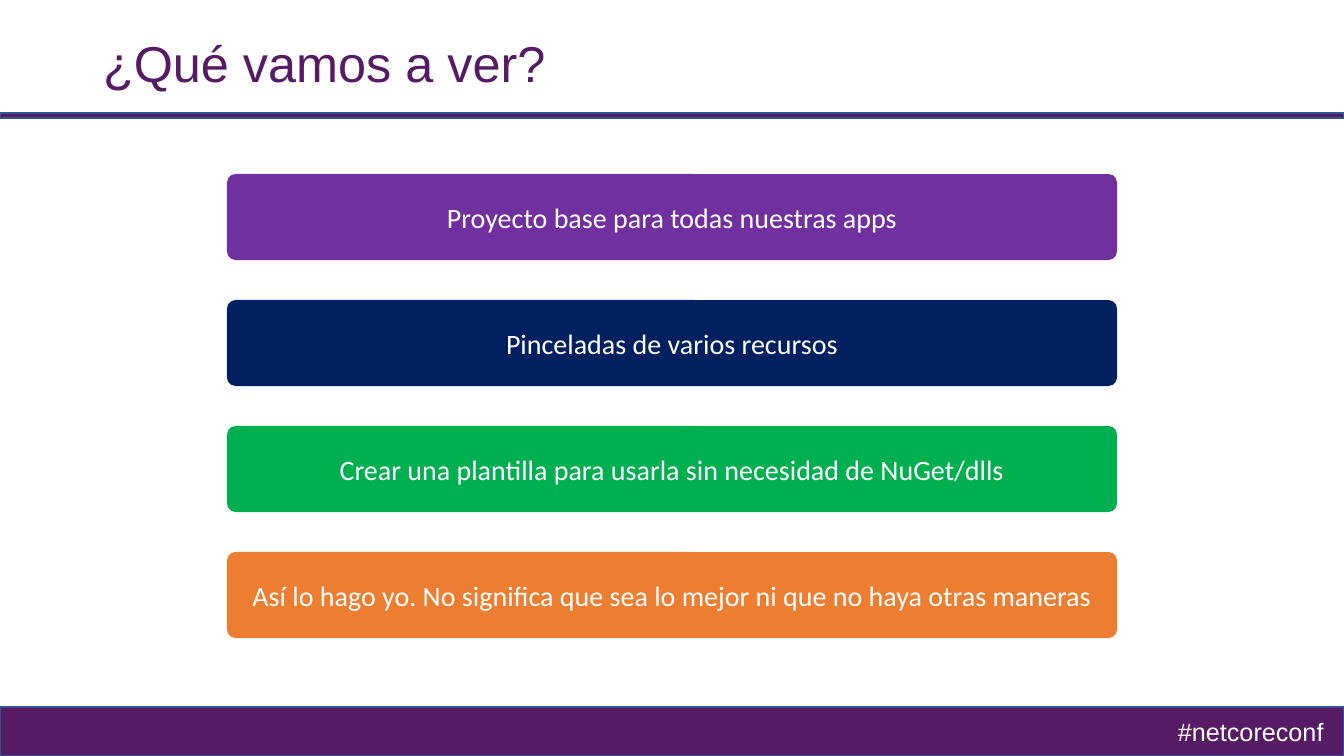
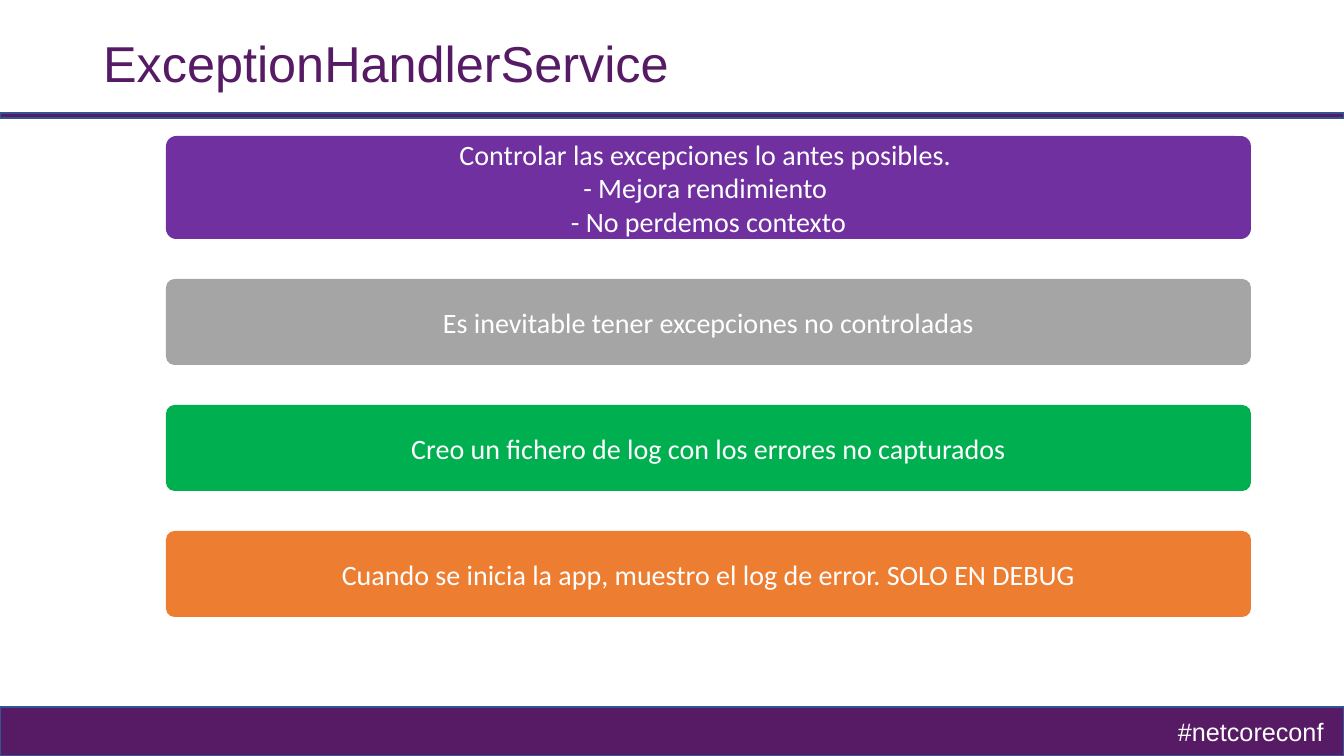
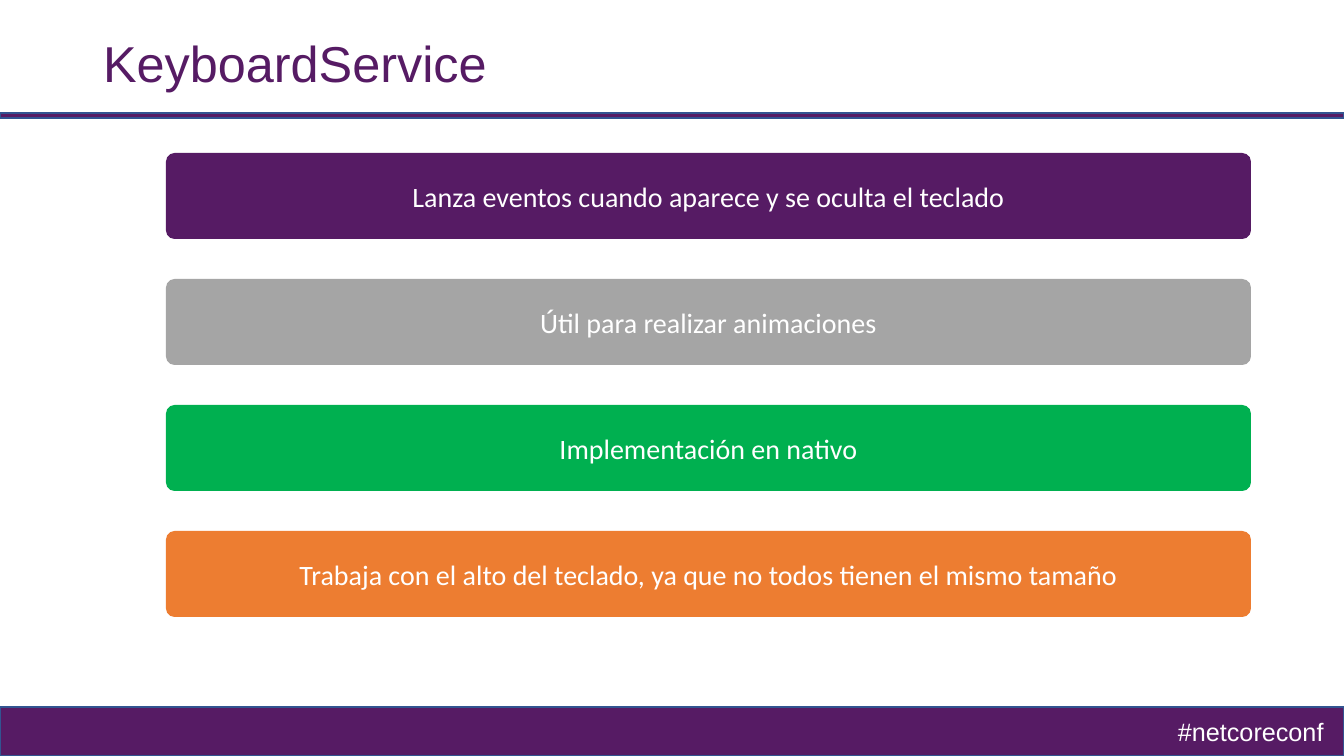
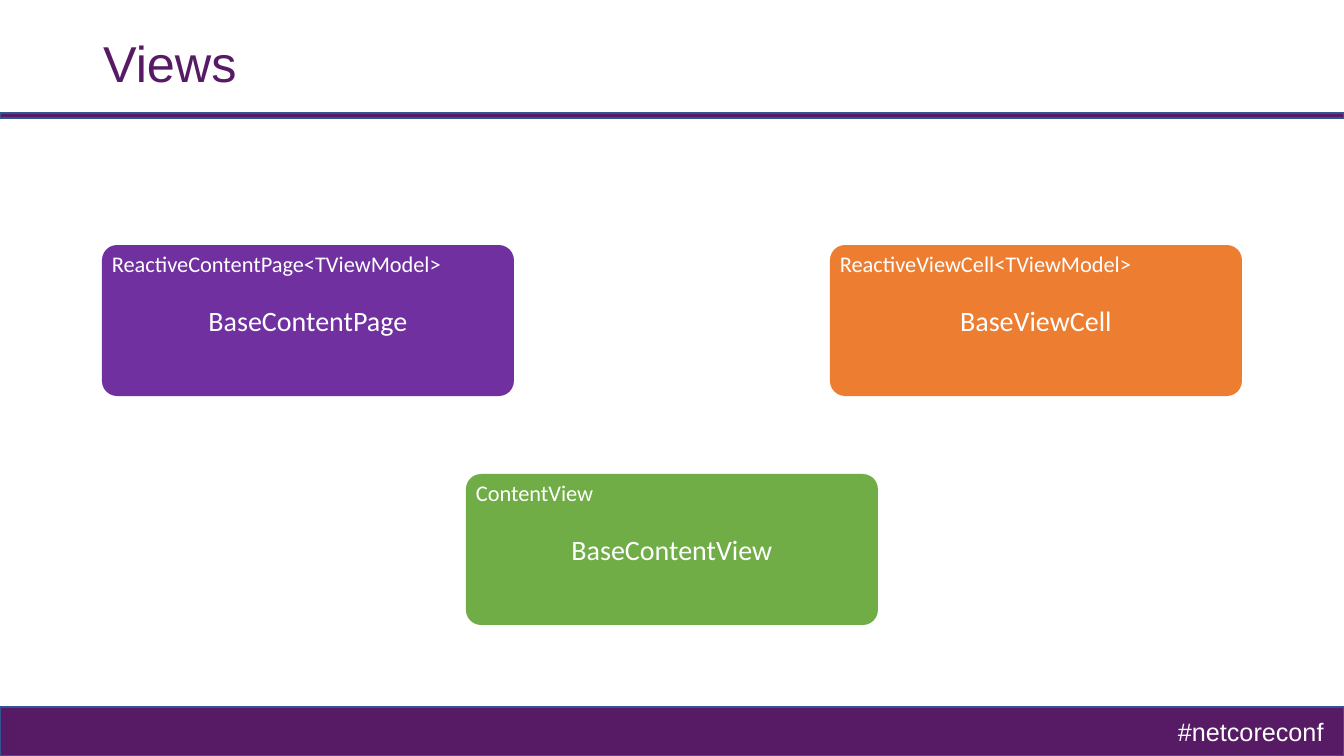
from pptx import Presentation
from pptx import util as u
from pptx.dml.color import RGBColor
from pptx.enum import shapes, text

PX = 914400 / 100.8
WIDTH, HEIGHT = 1344, 756
PLUM, PURPLE, NAVY, GREEN = "561B64", "7030A0", "002060", "00B050"
ORANGE, GREY, LEAF, EDGE, WHITE = "ED7D31", "A5A5A5", "70AD47", "325491", "FFFFFF"
BAR_HEIGHT, BAR_GAP = 86, 40
CARD_WIDTH, CARD_HEIGHT = 412, 151


def color(value):
    return RGBColor.from_string(value)


def emu(*lengths):
    return [u.Emu(round(length * PX)) for length in lengths]


def write(frame, words, size, font, ink, align=text.PP_ALIGN.LEFT):
    """Fill the first paragraph; a newline in words becomes a line break."""
    para = frame.paragraphs[0]
    para.text = words
    para.alignment = align
    for span in para.runs:
        span.font.size = u.Pt(size)
        span.font.name = font
        span.font.color.rgb = color(ink)
    return para


def add_block(page, kind, box, fill, edge=None):
    block = page.shapes.add_shape(kind, *emu(*box))
    block.shadow.inherit = False
    block.fill.solid()
    block.fill.fore_color.rgb = color(fill)
    if edge:
        block.line.color.rgb = color(edge)
        block.line.width = u.Pt(1)
    else:
        block.line.fill.background()
    return block


def add_panel(page, box, fill, words):
    panel = add_block(page, shapes.MSO_SHAPE.ROUNDED_RECTANGLE, box, fill)
    panel.adjustments[0] = 0.1
    frame = panel.text_frame
    frame.word_wrap = True
    frame.vertical_anchor = text.MSO_ANCHOR.MIDDLE
    write(frame, words, 20, "Calibri", WHITE, text.PP_ALIGN.CENTER)


def add_label(page, box, words, size, font, wrap):
    label = page.shapes.add_textbox(*emu(*box))
    label.text_frame.word_wrap = wrap
    write(label.text_frame, words, size, font, WHITE)
    return label


def dress_layout(layout, page):
    """Draw the shared bands on a page, then move them to its layout."""
    rectangle = shapes.MSO_SHAPE.RECTANGLE
    parts = [
        add_block(page, rectangle, (0, 707, WIDTH, 49), PLUM, EDGE),
        add_block(page, rectangle, (0, 113, WIDTH, 5), PLUM, EDGE),
        add_label(page, (1168, 711, 167, 40), "#netcoreconf", 18, "Arial", False),
    ]
    for part in parts:
        layout.shapes.element.append(part.element)
    title = layout.placeholders[0]
    title.left, title.top, title.width, title.height = emu(93, 14, 1159, 104)


def add_page(deck, layout, heading):
    page = deck.slides.add_slide(layout)
    frame = page.shapes.title.text_frame
    frame.vertical_anchor = text.MSO_ANCHOR.MIDDLE
    frame.auto_size = text.MSO_AUTO_SIZE.NONE
    write(frame, heading, 36, "Arial", PLUM).line_spacing = 0.9
    return page


def add_bars(page, left, top, width, bars, first_height=BAR_HEIGHT):
    height = first_height
    for fill, words in bars:
        add_panel(page, (left, top, width, height), fill, words)
        top += height + BAR_GAP
        height = BAR_HEIGHT


def add_card(page, left, top, fill, name, base):
    add_panel(page, (left, top, CARD_WIDTH, CARD_HEIGHT), fill, name)
    add_label(page, (left, top, CARD_WIDTH - 16, 37), base, 16, "Calibri", True)


def main():
    deck = Presentation()
    deck.slide_width, deck.slide_height = emu(WIDTH, HEIGHT)
    layout = deck.slide_layouts.get_by_name("Title Only")

    agenda = add_page(deck, layout, "¿Qué vamos a ver?")
    dress_layout(layout, agenda)
    add_bars(agenda, 227, 174, 890, [
        (PURPLE, "Proyecto base para todas nuestras apps"),
        (NAVY, "Pinceladas de varios recursos"),
        (GREEN, "Crear una plantilla para usarla sin necesidad de NuGet/dlls"),
        (ORANGE, "Así lo hago yo. No significa que sea lo mejor ni que no haya otras maneras"),
    ])

    exceptions = add_page(deck, layout, "ExceptionHandlerService")
    add_bars(exceptions, 166, 136, 1085, [
        (PURPLE, "Controlar las excepciones lo antes posibles. \n"
                 "- Mejora rendimiento \n- No perdemos contexto"),
        (GREY, "Es inevitable tener excepciones no controladas"),
        (GREEN, "Creo un fichero de log con los errores no capturados"),
        (ORANGE, "Cuando se inicia la app, muestro el log de error. SOLO EN DEBUG"),
    ], first_height=103)

    keyboard = add_page(deck, layout, "KeyboardService")
    add_bars(keyboard, 166, 153, 1085, [
        (PLUM, "Lanza eventos cuando aparece y se oculta el teclado"),
        (GREY, "Útil para realizar animaciones"),
        (GREEN, "Implementación en nativo"),
        (ORANGE, "Trabaja con el alto del teclado, ya que no todos tienen el mismo tamaño"),
    ])

    views = add_page(deck, layout, "Views")
    margin = 102
    add_card(views, margin, 245, PURPLE,
             "BaseContentPage", "ReactiveContentPage<TViewModel>")
    add_card(views, WIDTH - margin - CARD_WIDTH, 245, ORANGE,
             "BaseViewCell", "ReactiveViewCell<TViewModel>")
    add_card(views, (WIDTH - CARD_WIDTH) // 2, 474, LEAF,
             "BaseContentView", "ContentView")

    deck.save("out.pptx")


if __name__ == "__main__":
    main()
